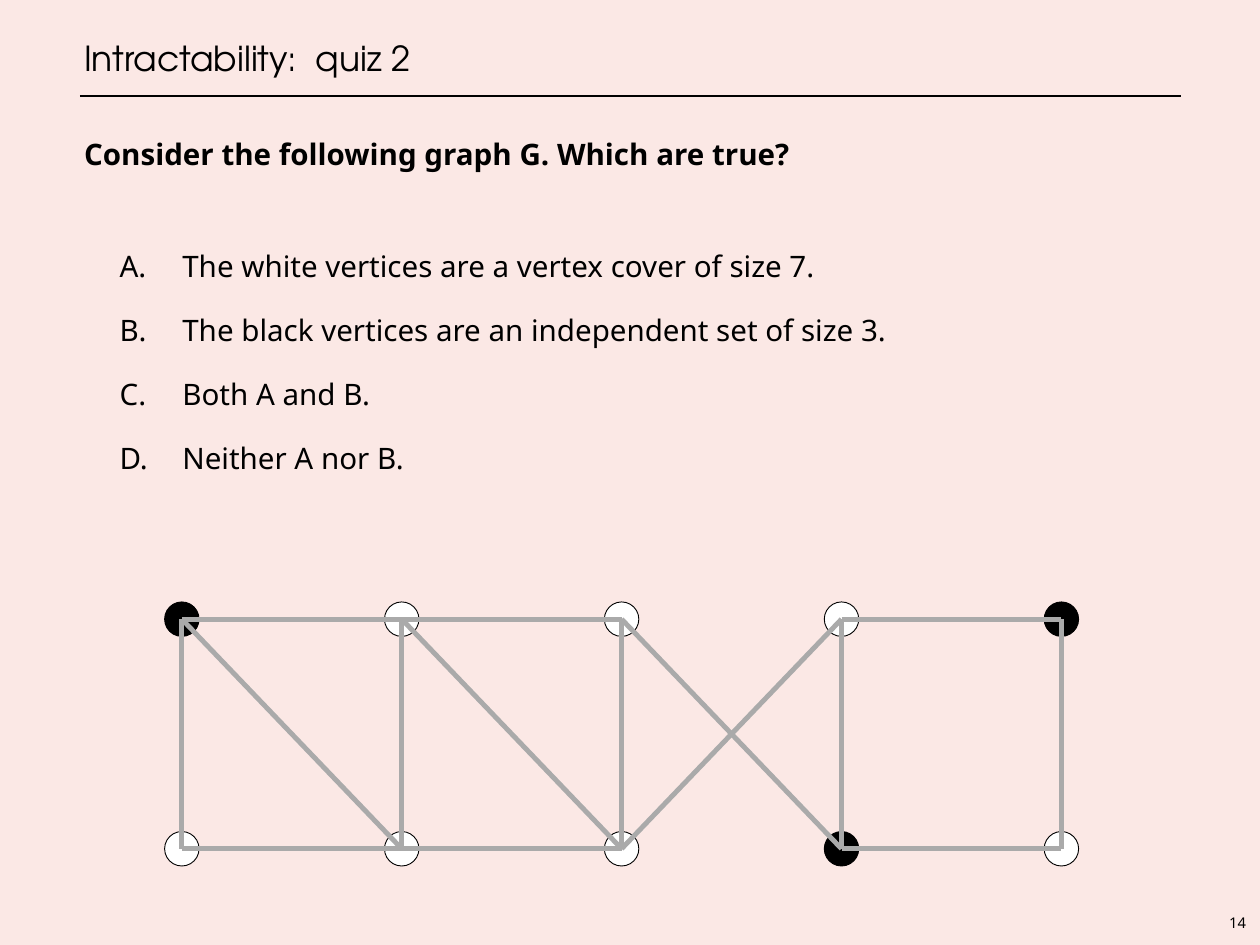
import pptx
import pptx.util
import pptx.dml.color
import pptx.enum.shapes
import pptx.enum.text
import pptx.oxml
import pptx.oxml.ns

COLORS = {"paper": "FBE8E5", "black": "000000", "white": "FFFFFF", "edge": "AAAAAA"}
TITLE = "Intractability:  quiz 2"
QUESTION = "Consider the following graph G. Which are true?"
ANSWERS = [
    "The white vertices are a vertex cover of size 7.",
    "The black vertices are an independent set of size 3.",
    "Both A and B.",
    "Neither A nor B.",
]
PAGE = "14"

COLUMNS = 5
BLACK_VERTICES = [("top", 0), ("top", 4), ("bottom", 3)]
EDGES = (
    [(("top", i), ("bottom", i)) for i in range(COLUMNS)]
    + [(("top", i), ("top", i + 1)) for i in (0, 1, 3)]
    + [(("bottom", i), ("bottom", i + 1)) for i in (0, 1, 3)]
    + [(("top", i), ("bottom", i + 1)) for i in range(3)]
    + [(("bottom", 2), ("top", 3))]
)
ROW_Y = {"top": 503.2, "bottom": 689.8}
FIRST_X, COLUMN_STEP, DIAMETER = 147.8, 178.7, 28

TITLE_FONT = {"name": "TeX Gyre Adventor", "size": pptx.util.Pt(28)}
QUESTION_FONT = {"name": "Noto Sans", "size": pptx.util.Pt(24), "bold": True}
ANSWER_FONT = {"name": "Noto Sans", "size": pptx.util.Pt(24), "bold": False}
PAGE_FONT = {"name": "Noto Sans", "size": pptx.util.Pt(12)}
MARGINS = ("margin_left", "margin_top", "margin_right", "margin_bottom")
ANCHOR = pptx.enum.text.MSO_ANCHOR
LINE_SPACING = 39
ANSWER_GAP = 13


def rgb(name):
    return pptx.dml.color.RGBColor.from_string(COLORS[name])


def points(*values):
    return [pptx.util.Pt(v) for v in values]


def add_box(s, box, anchor, wrap=True):
    tf = s.shapes.add_textbox(*points(*box)).text_frame
    formats = {"word_wrap": wrap, "vertical_anchor": anchor, **dict.fromkeys(MARGINS, 0)}
    for key, value in formats.items():
        setattr(tf, key, value)
    return tf


def write(p, text, font, left=0, hanging=0, **formats):
    pPr = p._p.get_or_add_pPr()
    pPr.set("marL", str(pptx.util.Pt(left)))
    pPr.set("indent", str(-pptx.util.Pt(hanging)))
    for key, value in formats.items():
        setattr(p, key, value)
    if hanging:
        number = pptx.oxml.parse_xml(
            f'<a:buAutoNum {pptx.oxml.ns.nsdecls("a")} type="alphaUcPeriod"/>')
        pPr.append(number)
    r = p.add_run()
    r.text = text
    for key, value in font.items():
        setattr(r.font, key, value)
    r.font.color.rgb = rgb("black")


def add_line(s, start, end, color, width):
    line = s.shapes.add_connector(
        pptx.enum.shapes.MSO_CONNECTOR.STRAIGHT, *points(*start, *end))
    line.line.color.rgb = rgb(color)
    line.line.width = pptx.util.Pt(width)
    line._element.spPr.append(
        pptx.oxml.parse_xml(f'<a:effectLst {pptx.oxml.ns.nsdecls("a")}/>'))


def center(vertex):
    row, column = vertex
    return FIRST_X + column * COLUMN_STEP, ROW_Y[row]


def add_vertex(s, vertex):
    x, y = center(vertex)
    sp = s.shapes.add_shape(
        pptx.enum.shapes.MSO_SHAPE.OVAL,
        *points(x - DIAMETER / 2, y - DIAMETER / 2, DIAMETER, DIAMETER))
    sp.shadow.inherit = False
    sp.fill.solid()
    sp.fill.fore_color.rgb = rgb("black" if vertex in BLACK_VERTICES else "white")
    sp.line.color.rgb = rgb("black")
    sp.line.width = pptx.util.Pt(0.75)


def main():
    prs = pptx.Presentation()
    prs.slide_width, prs.slide_height = points(1024, 768)
    s = prs.slides.add_slide(prs.slide_layouts[6])
    s.background.fill.solid()
    s.background.fill.fore_color.rgb = rgb("paper")

    add_line(s, (65, 78), (960, 78), "black", 1)
    title = add_box(s, (64, 0, 896, 64), ANCHOR.BOTTOM)
    write(title.paragraphs[0], TITLE, TITLE_FONT, left=4.3)

    body = add_box(s, (64, 100, 896, 300), ANCHOR.TOP)
    spacing = pptx.util.Pt(LINE_SPACING)
    write(body.paragraphs[0], QUESTION, QUESTION_FONT, left=4.3, line_spacing=spacing)
    for i, answer in enumerate(ANSWERS):
        gap = ANSWER_GAP if i else ANSWER_GAP + LINE_SPACING
        write(body.add_paragraph(), answer, ANSWER_FONT, left=84.2, hanging=51,
              line_spacing=spacing, space_before=pptx.util.Pt(gap))

    page = add_box(s, (993.6, 740, 24.4, 19), ANCHOR.MIDDLE, wrap=False)
    write(page.paragraphs[0], PAGE, PAGE_FONT, alignment=pptx.enum.text.PP_ALIGN.CENTER)

    for row in ROW_Y:
        for column in range(COLUMNS):
            add_vertex(s, (row, column))
    for start, end in EDGES:
        add_line(s, center(start), center(end), "edge", 4)

    prs.save("out.pptx")


if __name__ == "__main__":
    main()
